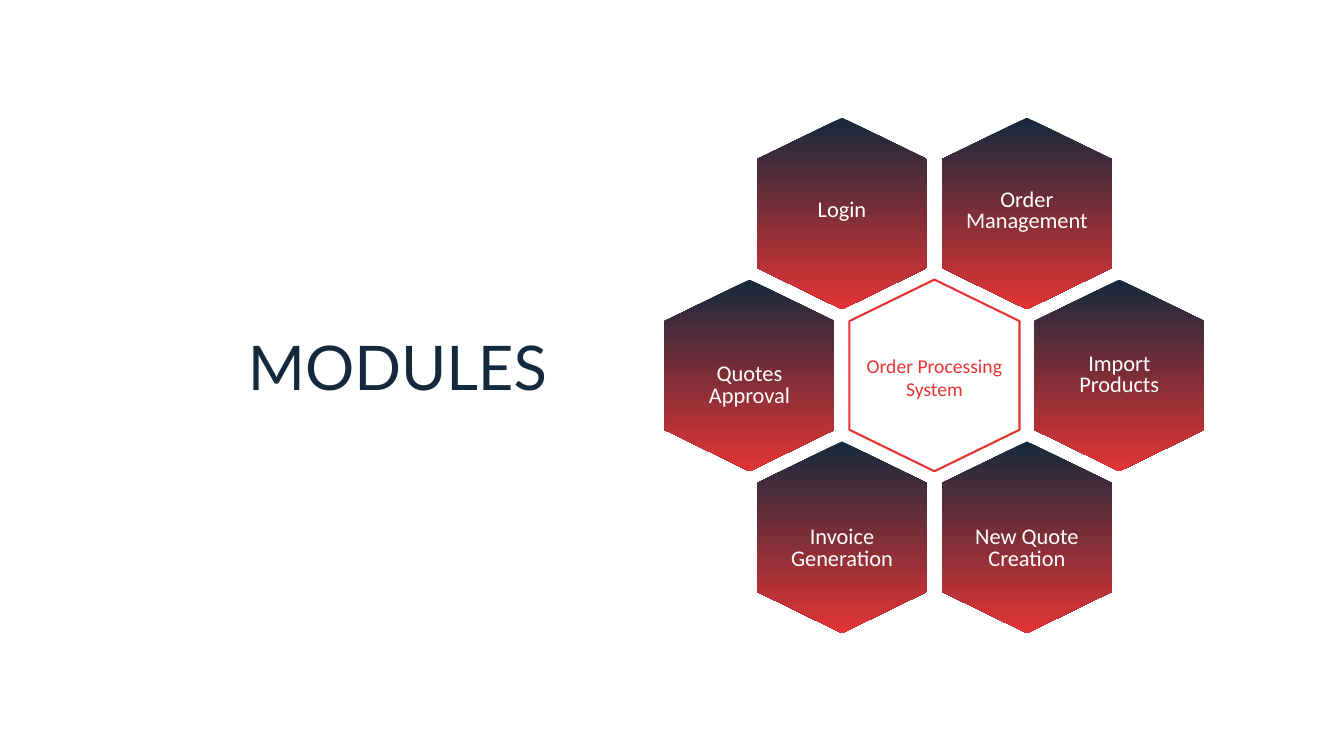
"""Build a slide with a ring of module hexagons around their system."""
from pptx import Presentation
from pptx.dml.color import RGBColor
from pptx.enum.shapes import MSO_SHAPE
from pptx.enum.text import MSO_ANCHOR, MSO_AUTO_SIZE, PP_ALIGN
from pptx.util import Cm, Pt

HEXAGON = MSO_SHAPE.HEXAGON
TOP, MIDDLE = MSO_ANCHOR.TOP, MSO_ANCHOR.MIDDLE
GROW = MSO_AUTO_SIZE.SHAPE_TO_FIT_TEXT
CENTER, RIGHT = PP_ALIGN.CENTER, PP_ALIGN.RIGHT

NAVY = RGBColor(0x15, 0x29, 0x3C)
RED = RGBColor(0xE4, 0x34, 0x34)
WHITE = RGBColor(0xFF, 0xFF, 0xFF)

MID_X, MID_Y = 23.55, 9.46
STEP_X, STEP_Y = 2.33, 4.08
LONG, SHORT = 4.83, 4.29

# Column step, row step, label, label height, label drop
MODULES = [
    (-2, 0, "Quotes Approval", 1.37, 0.27),
    (-1, 1, "Invoice Generation", 1.37, 0.3),
    (1, 1, "New Quote Creation", 1.37, 0.3),
    (2, 0, "Import Products", 1.37, 0),
    (1, -1, "Order Management", 1.37, -0.05),
    (-1, -1, "Login", 0.84, -0.05),
]


def fade(fill):
    """Fill with the navy to red gradient."""
    fill.gradient()
    fill.gradient_angle = 180
    for stop, color in zip(fill.gradient_stops, (NAVY, RED)):
        stop.color.rgb = color


def add_hex(slide, x, y, solid=True):
    """Add an upright hexagon centred at x, y, faded or outlined."""
    shape = slide.shapes.add_shape(
        HEXAGON, Cm(x - LONG / 2), Cm(y - SHORT / 2), Cm(LONG), Cm(SHORT))
    shape.rotation = 270
    shape.adjustments[0] = 0.244
    shape.shadow.inherit = False
    if solid:
        fade(shape.fill)
        shape.line.fill.background()
    else:
        shape.fill.background()
        shape.line.color.rgb = RED
        shape.line.width = Pt(1.5)


def add_text(slide, text, x, y, width, height, size=16, color=WHITE,
             font="Calibri", align=CENTER, anchor=MIDDLE, line=None, after=6):
    """Add a text box centred at x, y; without a color the text is faded."""
    box = slide.shapes.add_textbox(
        Cm(x - width / 2), Cm(y - height / 2), Cm(width), Cm(height))
    frame = box.text_frame
    frame.word_wrap = True
    frame.auto_size = GROW
    frame.vertical_anchor = anchor
    para = frame.paragraphs[0]
    para.alignment = align
    para.line_spacing = line
    para.space_after = Pt(after)
    run = para.add_run()
    run.text = text
    run.font.size = Pt(size)
    run.font.name = font
    if color is None:
        fade(run.font.fill)
    else:
        run.font.color.rgb = color


def main():
    """Build and save the slide."""
    deck = Presentation()
    deck.slide_width, deck.slide_height = Cm(33.87), Cm(19.05)
    slide = deck.slides.add_slide(deck.slide_layouts[6])
    for col, row, label, height, drop in MODULES:
        x, y = MID_X + col * STEP_X, MID_Y + row * STEP_Y
        add_hex(slide, x, y)
        add_text(slide, label, x, y + drop, 3.91, height, line=0.8)
    add_hex(slide, MID_X, MID_Y, solid=False)
    add_text(slide, "Order Processing System", MID_X, 9.51, 4.29, 1.45,
             size=14, color=RED)
    add_text(slide, "MODULES", 8.42, 9.22, 11.25, 2.13, size=44, color=None,
             font="Lato", align=RIGHT, anchor=TOP, after=0)
    deck.save("out.pptx")


if __name__ == "__main__":
    main()
